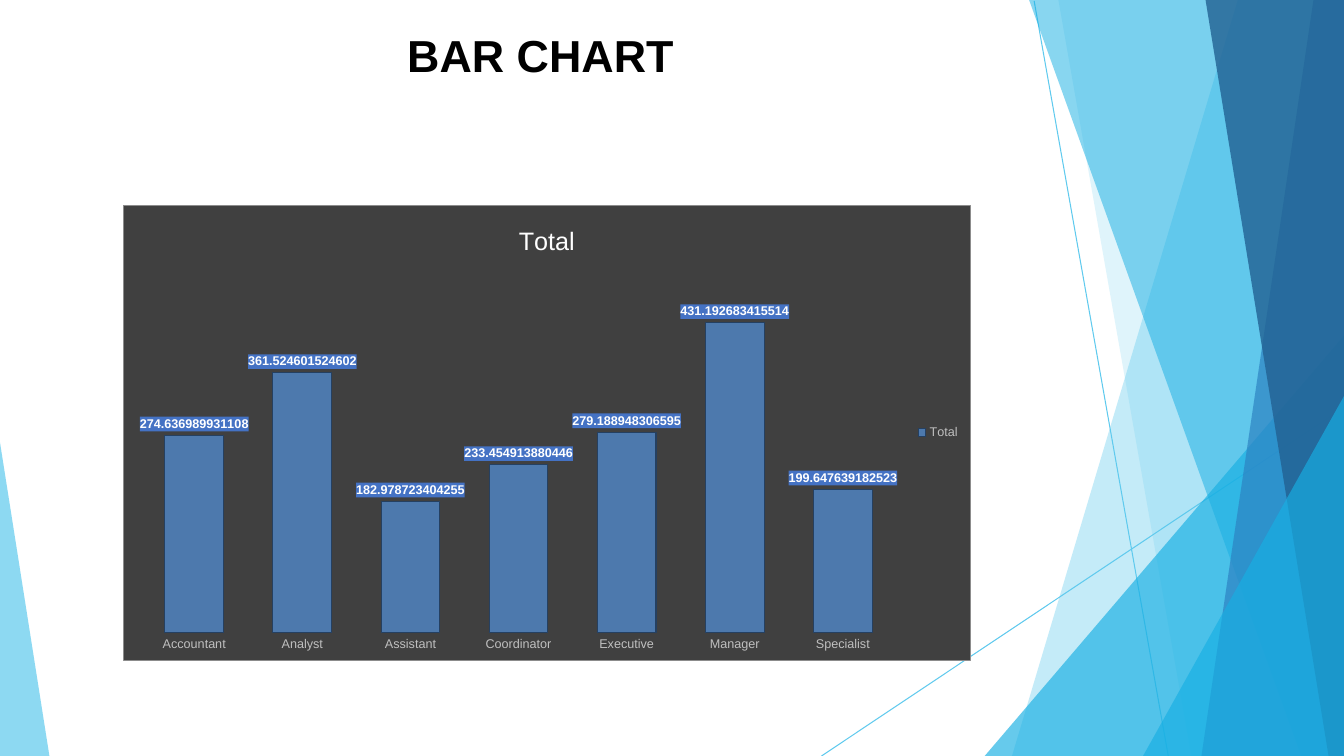
"""Build the bar chart slide with its faceted border."""
from lxml import etree
from pptx import Presentation, util as u
from pptx.chart.data import CategoryChartData
from pptx.dml.color import RGBColor
from pptx.enum import chart as ch, shapes, text
from pptx.oxml import parse_xml
from pptx.oxml.ns import nsdecls, qn

W, H = 960, 540
FONT = "Arial"
HUES = {
    "sky": "5FCAEE", "cyan": "17AFE3", "blue": "2D83C3", "navy": "226192",
    "black": "000000", "white": "FFFFFF", "gray": "BFBFBF",
    "panel": "404040", "frame": "8C8C8C",
    "bar": "4F81BD", "edge": "254061", "label": "4472C4",
}
TITLE = ("BAR CHART", (283.7, 16.3, 220.3, 46))
CHART = (87.8, 146.4, 605.5, 325.4)
PLOT = (12.1, 48.8, 541, 257)
NAME = "Total"
DATA = {
    "Accountant": "274.636989931108",
    "Analyst": "361.524601524602",
    "Assistant": "182.978723404255",
    "Coordinator": "233.454913880446",
    "Executive": "279.188948306595",
    "Manager": "431.192683415514",
    "Specialist": "199.647639182523",
}
RAYS = [(738.7, 0.7, 834.5, H), (W, 290.9, 586.8, H)]
FACETS = [
    ("sky", 37, [(W, 0), (884.2, 0), (722.9, H), (W, H)]),
    ("sky", 20, [(W, 0), (756, 0), (851, H), (W, H)]),
    ("cyan", 66, [(W, 239.8), (703.4, H), (W, H)]),
    ("cyan", 51, [(W, 0), (735.1, 0), (929.5, H), (W, H)]),
    ("blue", 71, [(W, 0), (938.2, 0), (858.2, H), (W, H)]),
    ("navy", 80, [(W, 0), (861.1, 0), (949, H), (W, H)]),
    ("cyan", 66, [(W, 283), (816.5, H), (W, H)]),
    ("sky", 71, [(0, 316.1), (0, H), (35.3, H)]),
]


def rgb(hue):
    """Return the named colour."""
    return RGBColor.from_string(HUES[hue])


def style(font, size, hue, bold=False):
    """Set the look of a font."""
    font.name, font.size, font.bold = FONT, u.Pt(size), bold
    font.color.rgb = rgb(hue)


def write(frame, words, size=18, hue="black", bold=False, align=None):
    """Put formatted text in a text frame."""
    para = frame.paragraphs[0]
    para.alignment = align
    run = para.add_run()
    run.text = words
    style(run.font, size, hue, bold)


def fade(root, part):
    """Make the first colour under an element see-through."""
    tint = next(root.iter(qn("a:srgbClr")))
    etree.SubElement(tint, qn("a:alpha")).set("val", str(part * 1000))


def paint(fill, hue):
    """Give a solid fill."""
    fill.solid()
    fill.fore_color.rgb = rgb(hue)


def stroke(line, hue, width):
    """Give a solid line."""
    line.color.rgb = rgb(hue)
    line.width = u.Pt(width)


def panel(hue, edge=""):
    """Return chart shape properties with a fill and a line."""
    solid = '<a:solidFill><a:srgbClr val="%s"/></a:solidFill>'
    rim = f'<a:ln w="{u.Pt(0.5)}">{solid % HUES[edge]}</a:ln>' if edge else ""
    return parse_xml(f'<c:spPr {nsdecls("c", "a")}>{solid % HUES[hue]}{rim}</c:spPr>')


def draw_facets(slide):
    """Draw the thin rays and the glassy facets."""
    for ray in RAYS:
        line = slide.shapes.add_connector(
            shapes.MSO_CONNECTOR.STRAIGHT, *map(u.Pt, ray))
        stroke(line.line, "sky", 0.75)
        etree.SubElement(line.element.spPr, qn("a:effectLst"))
    for hue, part, spots in FACETS:
        first, *rest = [(u.Pt(x), u.Pt(y)) for x, y in spots]
        pen = slide.shapes.build_freeform(*first)
        pen.add_line_segments(rest, close=True)
        facet = pen.convert_to_shape()
        facet.shadow.inherit = False
        paint(facet.fill, hue)
        facet.line.fill.background()
        fade(facet.element.spPr, part)


def draw_title(slide):
    """Place and format the slide title."""
    words, box = TITLE
    title = slide.shapes.title
    title.left, title.top, title.width, title.height = map(u.Pt, box)
    frame = title.text_frame
    frame.word_wrap = True
    frame.auto_size = text.MSO_AUTO_SIZE.NONE
    frame.vertical_anchor = text.MSO_ANCHOR.TOP
    write(frame, words, size=32, bold=True, align=text.PP_ALIGN.LEFT)


def draw_labels(bars):
    """Write each full figure above its bar."""
    for spot, figure in enumerate(DATA.values()):
        tag = bars.points[spot].data_label
        tag.position = ch.XL_LABEL_POSITION.OUTSIDE_END
        tag.text_frame.word_wrap = False
        write(tag.text_frame, figure, size=9, hue="white", bold=True)


def draw_chart(slide):
    """Add the column chart on its dark panel."""
    data = CategoryChartData()
    data.categories = list(DATA)
    data.add_series(NAME, [round(float(v), 2) for v in DATA.values()])
    chart = slide.shapes.add_chart(
        ch.XL_CHART_TYPE.COLUMN_CLUSTERED, *map(u.Pt, CHART), data).chart
    style(chart.font, 10, "black")
    root = chart.element
    root.find(qn("c:txPr")).addprevious(panel("panel", "frame"))

    chart.has_title = True
    write(chart.chart_title.text_frame, NAME, size=18, hue="white")
    chart.chart_title.include_in_layout = False
    chart.has_legend = True
    chart.legend.position = ch.XL_LEGEND_POSITION.RIGHT
    chart.legend.include_in_layout = False
    style(chart.legend.font, 9, "gray")

    cats, vals = chart.category_axis, chart.value_axis
    cats.major_tick_mark = ch.XL_TICK_MARK.NONE
    cats.format.line.fill.background()
    style(cats.tick_labels.font, 9, "gray")
    vals.visible = vals.has_major_gridlines = False
    vals.minimum_scale, vals.maximum_scale = 0, 500

    plot = chart.plots[0]
    plot.gap_width, plot.vary_by_categories = 84, False
    bars = plot.series[0]
    paint(bars.format.fill, "bar")
    stroke(bars.format.line, "edge", 0.75)
    fade(next(root.iter(qn("c:ser"))), 88)
    tags = bars.data_labels
    tags.show_value = True
    tags.position = ch.XL_LABEL_POSITION.OUTSIDE_END
    style(tags.font, 9, "white", bold=True)
    node = next(root.iter(qn("c:dLbls")))
    node.find(qn("c:txPr")).addprevious(panel("label"))
    draw_labels(bars)
    for tag in node.findall(qn("c:dLbl")):
        tag.find(qn("c:tx")).addnext(panel("label"))

    area = next(root.iter(qn("c:plotArea")))
    for old in area.findall(qn("c:layout")):
        area.remove(old)
    rules = {"layoutTarget": "inner", "xMode": "edge", "yMode": "edge"}
    for key, part, whole in zip("xywh", PLOT, CHART[2:] * 2):
        rules[key] = part / whole
    rows = "".join(f'<c:{k} val="{v}"/>' for k, v in rules.items())
    area.insert(0, parse_xml(
        f'<c:layout {nsdecls("c")}><c:manualLayout>{rows}</c:manualLayout></c:layout>'))


def main():
    """Assemble and save the slide."""
    deck = Presentation()
    deck.slide_width, deck.slide_height = u.Pt(W), u.Pt(H)
    slide = deck.slides.add_slide(deck.slide_layouts.get_by_name("Title Only"))
    draw_facets(slide)
    draw_title(slide)
    draw_chart(slide)
    deck.save("out.pptx")


if __name__ == "__main__":
    main()
